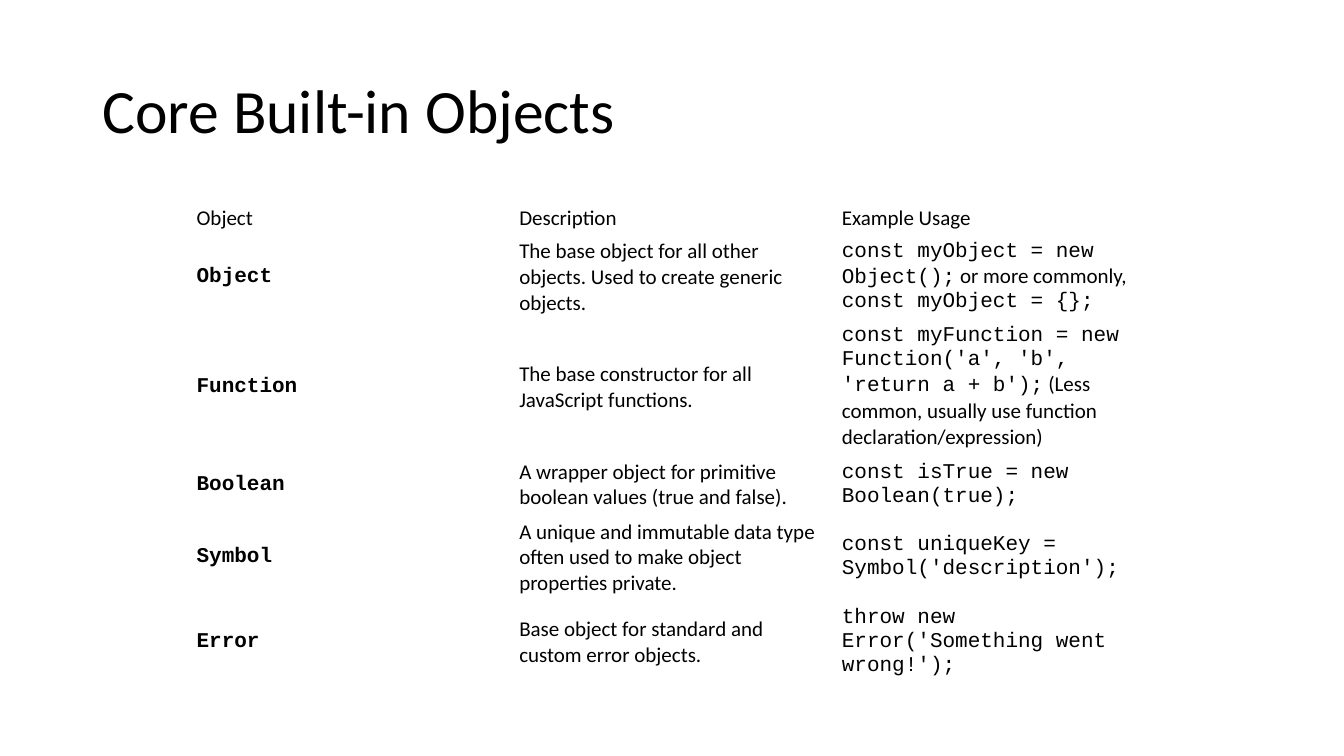
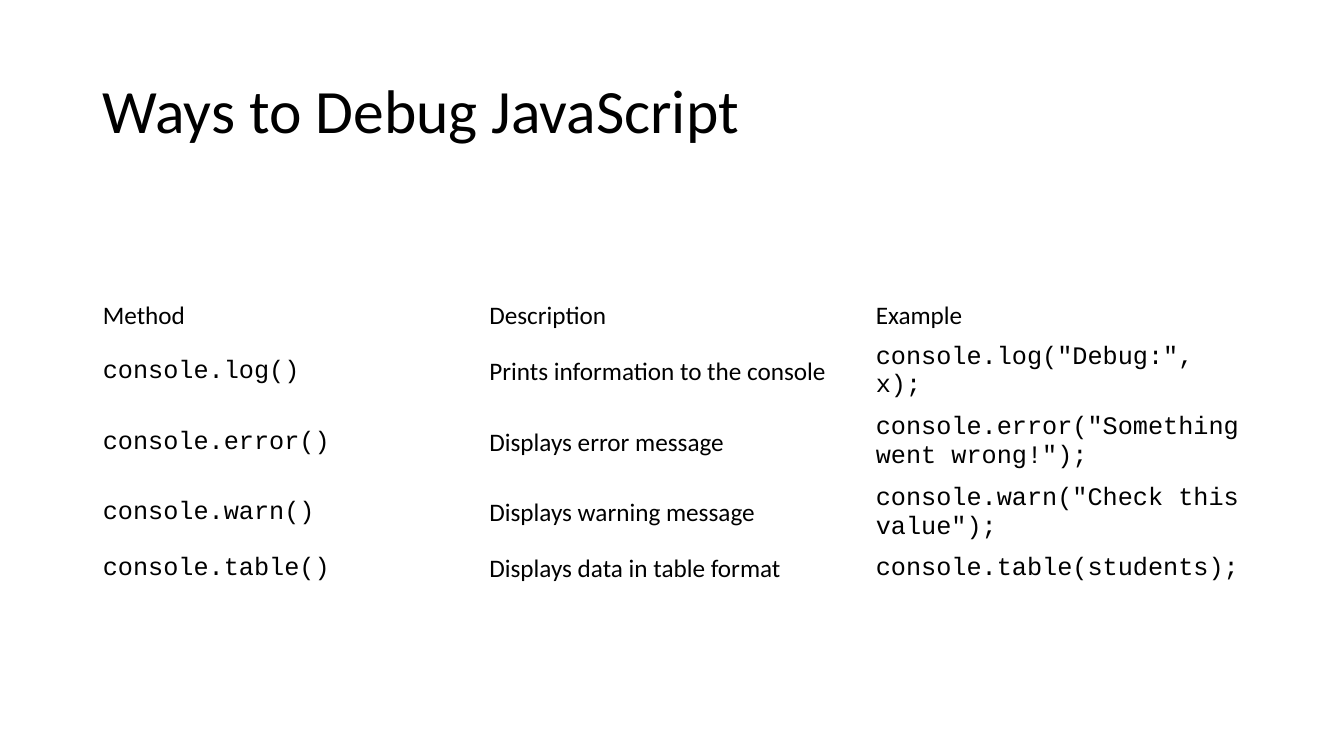
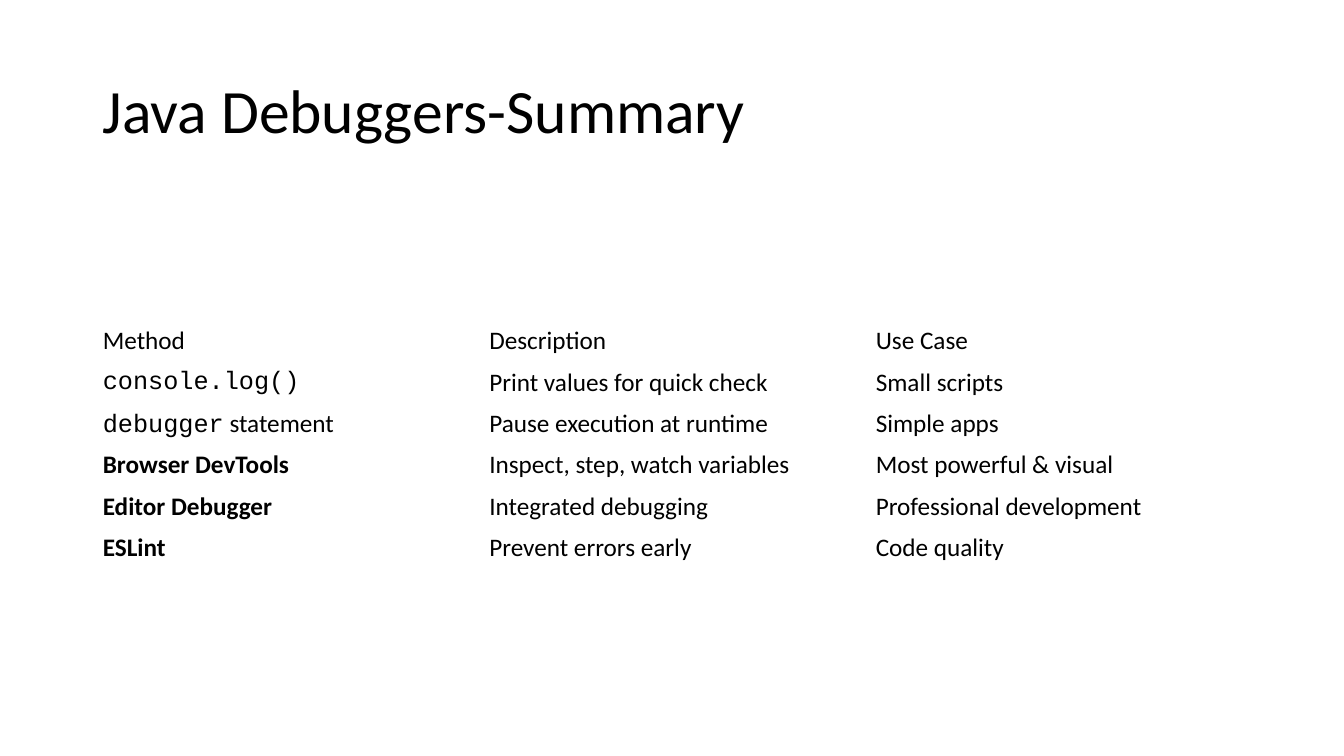
import pptx
import pptx.dml.color
import pptx.enum.text
import pptx.util

Inches = pptx.util.Inches
Pt = pptx.util.Pt
MIDDLE = pptx.enum.text.MSO_ANCHOR.MIDDLE

BLACK = pptx.dml.color.RGBColor(0x00, 0x00, 0x00)
WHITE = pptx.dml.color.RGBColor(0xFF, 0xFF, 0xFF)
BODY_FONT = "Calibri"
CODE_FONT = "Courier New"
TITLE_BOX = (0.92, 0.4, 11.5, 1.45)
LINE_ROW = 0.41

# In table cells, `backticks` mark code and a leading * marks bold.
OBJECT_ROWS = [
    ("Object", "Description", "Example Usage"),
    ("*`Object`",
     "The base object for all other objects. Used to create generic objects.",
     "`const myObject = new Object();` or more commonly, `const myObject = {};`"),
    ("*`Function`",
     "The base constructor for all JavaScript functions.",
     "`const myFunction = new Function('a', 'b', 'return a + b');`"
     " (Less common, usually use function declaration/expression)"),
    ("*`Boolean`",
     "A wrapper object for primitive boolean values (true and false).",
     "`const isTrue = new Boolean(true);`"),
    ("*`Symbol`",
     "A unique and immutable data type often used to make object properties private.",
     "`const uniqueKey = Symbol('description');`"),
    ("*`Error`",
     "Base object for standard and custom error objects.",
     "`throw new Error('Something went wrong!');`"),
]

DEBUG_ROWS = [
    ("Method", "Description", "Example"),
    ("`console.log()`", "Prints information to the console",
     '`console.log("Debug:", x);`'),
    ("`console.error()`", "Displays error message",
     '`console.error("Something went wrong!");`'),
    ("`console.warn()`", "Displays warning message",
     '`console.warn("Check this value");`'),
    ("`console.table()`", "Displays data in table format",
     "`console.table(students);`"),
]

SUMMARY_ROWS = [
    ("Method", "Description", "Use Case"),
    ("`console.log()`", "Print values for quick check", "Small scripts"),
    ("`debugger` statement", "Pause execution at runtime", "Simple apps"),
    ("*Browser DevTools", "Inspect, step, watch variables", "Most powerful & visual"),
    ("*Editor Debugger", "Integrated debugging", "Professional development"),
    ("*ESLint", "Prevent errors early", "Code quality"),
]


def style_run(r, size, font=BODY_FONT, bold=False):
    r.font.size = Pt(size)
    r.font.name = font
    r.font.bold = bold
    r.font.color.rgb = BLACK


def add_title(s, title, box):
    tf = s.shapes.add_textbox(*map(Inches, box)).text_frame
    tf.word_wrap = True
    tf.vertical_anchor = MIDDLE
    tf.text = title
    p = tf.paragraphs[0]
    p.line_spacing = 0.9
    style_run(p.runs[0], 44)


def fill_cell(cell, text, size, inset):
    cell.fill.background()
    cell.vertical_anchor = MIDDLE
    cell.margin_left = cell.margin_right = Inches(inset)
    cell.margin_top = cell.margin_bottom = Inches(inset / 2)
    bold = text.startswith("*")
    p = cell.text_frame.paragraphs[0]
    for i, part in enumerate(text.removeprefix("*").split("`")):
        if part:
            r = p.add_run()
            r.text = part
            style_run(r, size, CODE_FONT if i % 2 else BODY_FONT, bold)


def add_text_table(s, rows, left, top, width, heights, size, inset):
    table = s.shapes.add_table(
        len(rows), len(rows[0]), Inches(left), Inches(top),
        Inches(width), Inches(sum(heights))).table
    table.first_row = table.horz_banding = False
    for i, (texts, height) in enumerate(zip(rows, heights)):
        table.rows[i].height = Inches(height)
        for j, text in enumerate(texts):
            fill_cell(table.cell(i, j), text, size, inset)


def add_table_slide(prs, title, rows, left, top, width, heights, size=18, inset=0.1):
    s = prs.slides.add_slide(prs.slide_layouts[6])
    s.background.fill.solid()
    s.background.fill.fore_color.rgb = WHITE
    add_title(s, title, TITLE_BOX)
    add_text_table(s, rows, left, top, width, heights, size, inset)


def main():
    prs = pptx.Presentation()
    prs.slide_width = Inches(13.33)
    prs.slide_height = Inches(7.5)
    add_table_slide(prs, "Core Built-in Objects", OBJECT_ROWS, 1.87, 2, 9.6,
                    [0.33, 0.84, 1.34, 0.6, 0.84, 0.84], size=15, inset=0.08)
    add_table_slide(prs, "Ways to Debug JavaScript", DEBUG_ROWS, 0.92, 2.93, 11.5,
                    [LINE_ROW] * len(DEBUG_ROWS))
    add_table_slide(prs, "Java Debuggers-Summary", SUMMARY_ROWS, 0.92, 3.18, 11.5,
                    [LINE_ROW] * len(SUMMARY_ROWS))
    prs.save("out.pptx")


if __name__ == "__main__":
    main()
